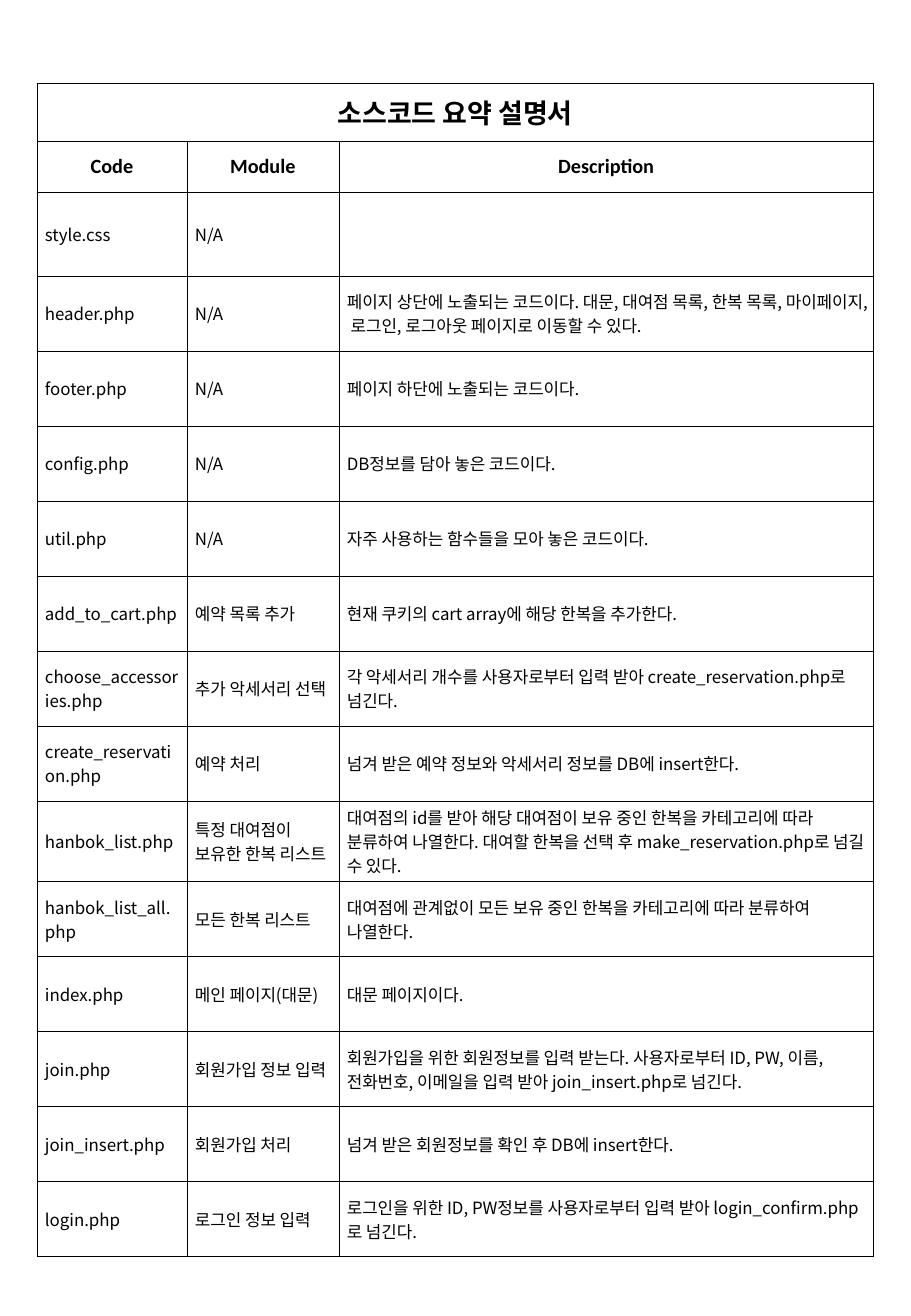
from lxml import etree
from pptx import Presentation
from pptx import util as u
from pptx.dml.color import RGBColor
from pptx.enum import text
from pptx.oxml import ns

TITLE = "소스코드 요약 설명서"
HEADINGS = ("Code", "Module", "Description")
MODULES = [
    ("style.css", "N/A", ""),
    ("header.php", "N/A", "페이지 상단에 노출되는 코드이다. 대문, 대여점 목록, 한복 목록, "
     "마이페이지, 로그인, 로그아웃 페이지로 이동할 수 있다."),
    ("footer.php", "N/A", "페이지 하단에 노출되는 코드이다."),
    ("config.php", "N/A", "DB정보를 담아 놓은 코드이다."),
    ("util.php", "N/A", "자주 사용하는 함수들을 모아 놓은 코드이다."),
    ("add_to_cart.php", "예약 목록 추가", "현재 쿠키의 cart array에 해당 한복을 추가한다."),
    ("choose_accessories.php", "추가 악세서리 선택",
     "각 악세서리 개수를 사용자로부터 입력 받아 create_reservation.php로 넘긴다."),
    ("create_reservation.php", "예약 처리",
     "넘겨 받은 예약 정보와 악세서리 정보를 DB에 insert한다."),
    ("hanbok_list.php", "특정 대여점이 보유한 한복 리스트",
     "대여점의 id를 받아 해당 대여점이 보유 중인 한복을 카테고리에 따라 분류하여 나열한다. "
     "대여할 한복을 선택 후 make_reservation.php로 넘길 수 있다."),
    ("hanbok_list_all.php", "모든 한복 리스트",
     "대여점에 관계없이 모든 보유 중인 한복을 카테고리에 따라 분류하여 나열한다."),
    ("index.php", "메인 페이지(대문)", "대문 페이지이다."),
    ("join.php", "회원가입 정보 입력",
     "회원가입을 위한 회원정보를 입력 받는다. 사용자로부터 ID, PW, 이름, 전화번호, "
     "이메일을 입력 받아 join_insert.php로 넘긴다."),
    ("join_insert.php", "회원가입 처리", "넘겨 받은 회원정보를 확인 후 DB에 insert한다."),
    ("login.php", "로그인 정보 입력",
     "로그인을 위한 ID, PW정보를 사용자로부터 입력 받아 login_confirm.php로 넘긴다."),
]

COLORS = {"ink": "000000", "paper": "FFFFFF"}
LATIN, KOREAN = "Calibri", "Noto Sans CJK KR"
EMU_PER_PX = 914400 / 121.5
LEFT, TOP = 37, 83
COLUMN_WIDTHS = (150, 152, 535)
ROW_HEIGHTS = [58, 51, 84] + [75] * (len(MODULES) - 1)
PAD_X, PAD_Y = 8, 4


def px(length):
    return u.Emu(round(length * EMU_PER_PX))


def add_borders(cell):
    properties = cell._tc.get_or_add_tcPr()
    for side in ("lnL", "lnR", "lnT", "lnB"):
        line = etree.SubElement(properties, ns.qn(f"a:{side}"), w=str(u.Pt(0.25)))
        fill = etree.SubElement(line, ns.qn("a:solidFill"))
        etree.SubElement(fill, ns.qn("a:srgbClr"), val=COLORS["ink"])


def fill_cell(cell, words, size, latin, heading):
    add_borders(cell)
    cell.fill.solid()
    cell.fill.fore_color.rgb = RGBColor.from_string(COLORS["paper"])
    cell.vertical_anchor = text.MSO_ANCHOR.MIDDLE
    cell.margin_left = cell.margin_right = px(PAD_X)
    cell.margin_top = cell.margin_bottom = px(PAD_Y)
    cell.text_frame.text = words
    paragraph = cell.text_frame.paragraphs[0]
    paragraph.alignment = text.PP_ALIGN.CENTER if heading else text.PP_ALIGN.LEFT
    for run in paragraph.runs:
        run.font.size = u.Pt(size)
        run.font.bold = heading
        run.font.color.rgb = RGBColor.from_string(COLORS["ink"])
        run.font.name = latin
        etree.SubElement(run.font._element, ns.qn("a:ea"), typeface=KOREAN)


def main():
    deck = Presentation()
    deck.slide_width, deck.slide_height = u.Inches(7.5), u.Inches(10.83)
    slide = deck.slides.add_slide(deck.slide_layouts[6])
    rows = [(TITLE, "", ""), HEADINGS, *MODULES]
    summary = slide.shapes.add_table(
        len(rows), len(HEADINGS), px(LEFT), px(TOP),
        px(sum(COLUMN_WIDTHS)), px(sum(ROW_HEIGHTS))).table
    summary.first_row = summary.horz_banding = False
    for column, width in zip(summary.columns, COLUMN_WIDTHS):
        column.width = px(width)
    for row, height in zip(summary.rows, ROW_HEIGHTS):
        row.height = px(height)

    for r, entries in enumerate(rows):
        heading = r < 2
        size = (16, 12)[r] if heading else 10
        for c, words in enumerate(entries):
            fill_cell(summary.cell(r, c), words, size, LATIN if heading else KOREAN, heading)
    summary.cell(0, 0).merge(summary.cell(0, len(HEADINGS) - 1))
    deck.save("out.pptx")


if __name__ == "__main__":
    main()
